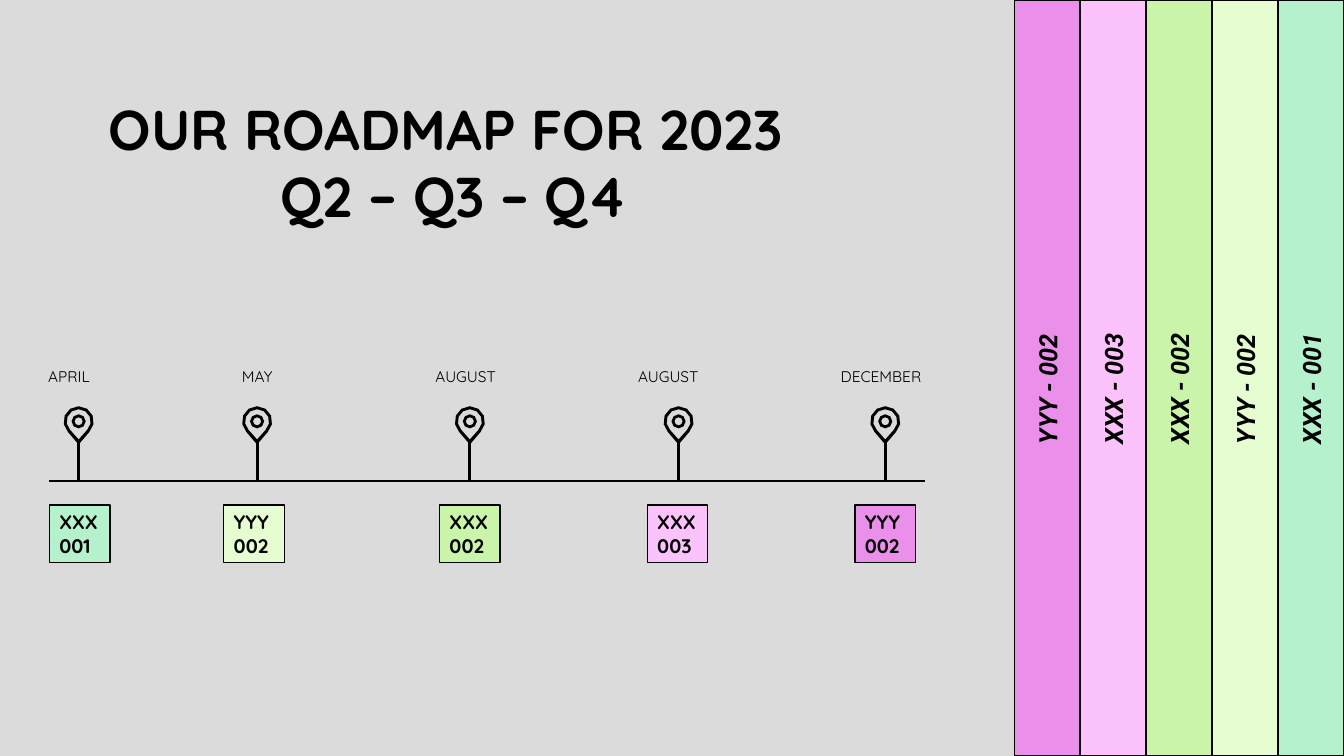
import math

import pptx
import pptx.dml.color
import pptx.enum.shapes
import pptx.enum.text
import pptx.oxml.ns
import pptx.util
from lxml import etree

Inches = pptx.util.Inches
Pt = pptx.util.Pt

COLORS = {
    "panel": "DBDBDB",
    "ink": "000000",
    "mint": "B5F1CC",
    "lime": "E5FDD1",
    "green": "C9F4AA",
    "pink": "FCC2FC",
    "orchid": "EA8FEA",
}

FORMATS = {
    "title": {"name": "Quicksand", "size": Pt(40), "bold": True},
    "month": {"name": "Quicksand", "size": Pt(11)},
    "code": {"name": "Quicksand", "size": Pt(14), "bold": True},
    "tab": {"name": "Roboto", "size": Pt(18), "bold": True, "italic": True},
}

TABS = [
    ("YYY - 002", "orchid"),
    ("XXX - 003", "pink"),
    ("XXX - 002", "green"),
    ("YYY - 002", "lime"),
    ("XXX - 001", "mint"),
]

# month, label left, label width, pin centre, card left, card lines, card colour
MILESTONES = [
    ("APRIL", 0.38, 0.8, 0.78, 0.49, ["XXX001"], "mint"),
    ("MAY", 2.3, 0.8, 2.55, 2.22, ["YYY", "002"], "lime"),
    ("AUGUST", 4.22, 0.89, 4.66, 4.36, ["XXX002"], "green"),
    ("AUGUST", 6.23, 0.89, 6.73, 6.42, ["XXX003"], "pink"),
    ("DECEMBER", 8.24, 1.14, 8.78, 8.48, ["YYY", "002"], "orchid"),
]


def rgb(name):
    """Return the named colour."""
    return pptx.dml.color.RGBColor.from_string(COLORS[name])


def write(sp, lines, style, align=pptx.enum.text.PP_ALIGN.LEFT):
    """Write one paragraph per line in the given style."""
    tf = sp.text_frame
    tf.word_wrap = True
    for i, line in enumerate(lines):
        p = tf.paragraphs[0] if i == 0 else tf.add_paragraph()
        p.alignment = align
        r = p.add_run()
        r.text = line
        r.font.color.rgb = rgb("ink")
        for key, value in FORMATS[style].items():
            setattr(r.font, key, value)


def add_text(s, box, lines, style, **options):
    """Add a text box at left, top, width, height."""
    sp = s.shapes.add_textbox(*map(Inches, box))
    write(sp, lines, style, **options)
    return sp


def add_rect(s, box, color, outlined=True):
    """Add a filled rectangle, with a thin outline if wanted."""
    sp = s.shapes.add_shape(pptx.enum.shapes.MSO_SHAPE.RECTANGLE, *map(Inches, box))
    sp.shadow.inherit = False
    sp.fill.solid()
    sp.fill.fore_color.rgb = rgb(color)
    if outlined:
        sp.line.color.rgb = rgb("ink")
        sp.line.width = Pt(1)
    else:
        sp.line.fill.background()
    return sp


def add_line(s, x1, y1, x2, y2, width):
    """Add a straight black line."""
    kind = pptx.enum.shapes.MSO_CONNECTOR.STRAIGHT
    cn = s.shapes.add_connector(kind, *map(Inches, (x1, y1, x2, y2)))
    cn.line.color.rgb = rgb("ink")
    cn.line.width = Pt(width)
    etree.SubElement(cn._element.spPr, pptx.oxml.ns.qn("a:effectLst"))


def arc(x, y, radius, start, step, count):
    """Return points along an arc, with angles in degrees."""
    angles = [math.radians(start + step * i) for i in range(count)]
    return [(x + radius * math.cos(a), y + radius * math.sin(a)) for a in angles]


def add_pin(s, x, y):
    """Add a map pin whose head is centred on x, y."""
    drops = [arc(x, y, radius, 135, 33.75, 9) + [(x, y + tip)]
             for radius, tip in ((0.15, 0.23), (0.12, 0.18))]
    rings = [arc(x, y, radius, 0, 45, 8) for radius in (0.07, 0.04)]
    outlines = [[(Inches(px), Inches(py)) for px, py in c] for c in drops + rings]
    fb = s.shapes.build_freeform(*outlines[0][0])
    for i, points in enumerate(outlines):
        if i:
            fb.move_to(*points[0])
        fb.add_line_segments(points[1:], close=True)
    sp = fb.convert_to_shape()
    sp.shadow.inherit = False
    sp.fill.solid()
    sp.fill.fore_color.rgb = rgb("ink")
    sp.line.fill.background()


def add_title(s, x, y, w, h):
    """Place the two-line heading."""
    lines = ["OUR ROADMAP FOR 2023 ", "Q2 – Q3 – Q4"]
    add_text(s, (x, y, w, h), lines, "title", align=pptx.enum.text.PP_ALIGN.CENTER)


def add_tabs(s, x, y, w, h):
    """Fill the box with equal vertical tabs and rotated names."""
    pitch = w / len(TABS)
    text_w, text_h = 1.51, 0.4
    for i, (name, color) in enumerate(TABS):
        left = x + i * pitch
        add_rect(s, (left, y, pitch, h), color)
        box = (left + (pitch - text_w) / 2, y + (h - text_h) / 2, text_w, text_h)
        add_text(s, box, [name], "tab").rotation = 270


def add_timeline(s, x, y, w, h):
    """Place the axis with a month, pin and card for each milestone."""
    axis = y + 1.18
    card_h = 0.57
    add_line(s, x, axis, x + w, axis, 1.5)
    for month, label_x, label_w, pin_x, card_x, code, color in MILESTONES:
        add_text(s, (label_x, y, label_w, 0.29), [month], "month")
        add_pin(s, pin_x, y + 0.59)
        add_line(s, pin_x, axis, pin_x, y + 0.79, 2)
        card = add_rect(s, (card_x, y + h - card_h, 0.6, card_h), color)
        write(card, code, "code")


def main():
    """Build and save the roadmap slide."""
    prs = pptx.Presentation()
    prs.slide_width, prs.slide_height = Inches(13.33), Inches(7.5)
    s = prs.slides.add_slide(prs.slide_layouts[6])
    add_rect(s, (0, 0, 12.68, 7.5), "panel", outlined=False)
    add_title(s, 0, 0.89, 9, 1.45)
    add_tabs(s, 10.06, 0, 3.27, 7.5)
    add_timeline(s, 0.49, 3.59, 8.68, 1.99)
    prs.save("out.pptx")


if __name__ == "__main__":
    main()
